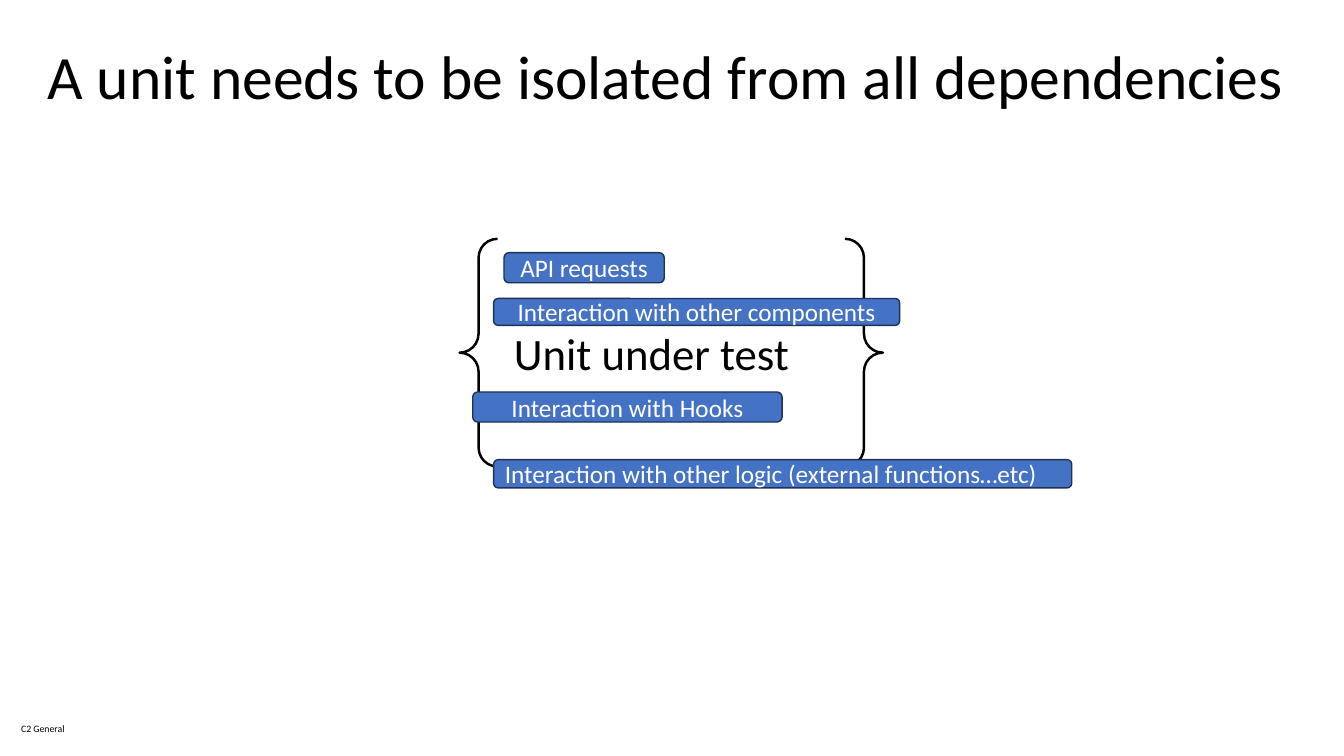
from dataclasses import dataclass

from pptx import Presentation
from pptx.dml.color import RGBColor
from pptx.enum.shapes import MSO_SHAPE
from pptx.enum.text import MSO_ANCHOR, MSO_AUTO_SIZE, PP_ALIGN
from pptx.shapes.autoshape import Shape
from pptx.slide import Slide
from pptx.util import Pt

BRACES = MSO_SHAPE.DOUBLE_BRACE
ROUNDED = MSO_SHAPE.ROUNDED_RECTANGLE
MIDDLE = MSO_ANCHOR.MIDDLE
TOP = MSO_ANCHOR.TOP
NO_FIT = MSO_AUTO_SIZE.NONE
GROW = MSO_AUTO_SIZE.SHAPE_TO_FIT_TEXT
LEFT = PP_ALIGN.LEFT
CENTER = PP_ALIGN.CENTER

FONT = "Calibri"
TITLE_ONLY = 5
BLACK = RGBColor(0x00, 0x00, 0x00)
WHITE = RGBColor(0xFF, 0xFF, 0xFF)
BLUE = RGBColor(0x44, 0x72, 0xC4)
NAVY = RGBColor(0x1E, 0x32, 0x56)


@dataclass(frozen=True)
class Area:
    left: float
    top: float
    width: float
    height: float

    def lengths(self) -> tuple[Pt, Pt, Pt, Pt]:
        return Pt(self.left), Pt(self.top), Pt(self.width), Pt(self.height)


@dataclass(frozen=True)
class Dependency:
    text: str
    area: Area
    align: PP_ALIGN = CENTER


DEPENDENCIES = (
    Dependency("API requests", Area(360, 180.5, 114.5, 21.5)),
    Dependency("Interaction with Hooks", Area(337.7, 280, 221, 21.5)),
    Dependency("Interaction with other components", Area(352.6, 213.2, 290, 19.2)),
    Dependency(
        "Interaction with other logic (external functions…etc)",
        Area(352.6, 328.3, 413, 20.2),
        LEFT,
    ),
)


def write(box: Shape, text: str, size: float, color: RGBColor, align: PP_ALIGN = LEFT) -> None:
    para = box.text_frame.paragraphs[0]
    para.alignment = align
    span = para.add_run()
    span.text = text
    span.font.name = FONT
    span.font.size = Pt(size)
    span.font.color.rgb = color


def add_title(page: Slide, text: str, area: Area) -> None:
    title = page.shapes.title
    title.left, title.top, title.width, title.height = area.lengths()
    title.text_frame.auto_size = NO_FIT
    title.text_frame.vertical_anchor = MIDDLE
    write(title, text, 44, BLACK)
    title.text_frame.paragraphs[0].line_spacing = 0.9


def add_label(page: Slide, text: str, area: Area, size: float) -> Shape:
    box = page.shapes.add_textbox(*area.lengths())
    box.text_frame.word_wrap = False
    box.text_frame.auto_size = GROW
    box.text_frame.vertical_anchor = TOP
    write(box, text, size, BLACK)
    return box


def add_classification(page: Slide, text: str, area: Area) -> None:
    frame = add_label(page, text, area, 7).text_frame
    frame.margin_left = frame.margin_right = Pt(0)
    frame.margin_top = frame.margin_bottom = Pt(0)


def add_braces(page: Slide, area: Area) -> None:
    braces = page.shapes.add_shape(BRACES, *area.lengths())
    braces.shadow.inherit = False
    braces.fill.background()
    braces.line.color.rgb = BLACK
    braces.line.width = Pt(1.75)


def add_dependency(page: Slide, dependency: Dependency) -> None:
    box = page.shapes.add_shape(ROUNDED, *dependency.area.lengths())
    box.shadow.inherit = False
    box.fill.solid()
    box.fill.fore_color.rgb = BLUE
    box.line.color.rgb = NAVY
    box.line.width = Pt(1)
    box.text_frame.word_wrap = True
    box.text_frame.vertical_anchor = MIDDLE
    write(box, dependency.text, 18, WHITE, dependency.align)


def main() -> None:
    deck = Presentation()
    deck.slide_width, deck.slide_height = Pt(960), Pt(540)
    page = deck.slides.add_slide(deck.slide_layouts[TITLE_ONLY])
    add_title(
        page,
        "A unit needs to be isolated from all dependencies",
        Area(26.6, 21.6, 906.5, 69.8),
    )
    add_classification(page, "C2 General", Area(15.1, 516.2, 33.1, 8.6))
    add_braces(page, Area(328.3, 170.6, 302.4, 162.7))
    add_label(page, "Unit under test", Area(360, 229, 213.1, 46.1), 32)
    for dependency in DEPENDENCIES:
        add_dependency(page, dependency)
    deck.save("out.pptx")


if __name__ == "__main__":
    main()
